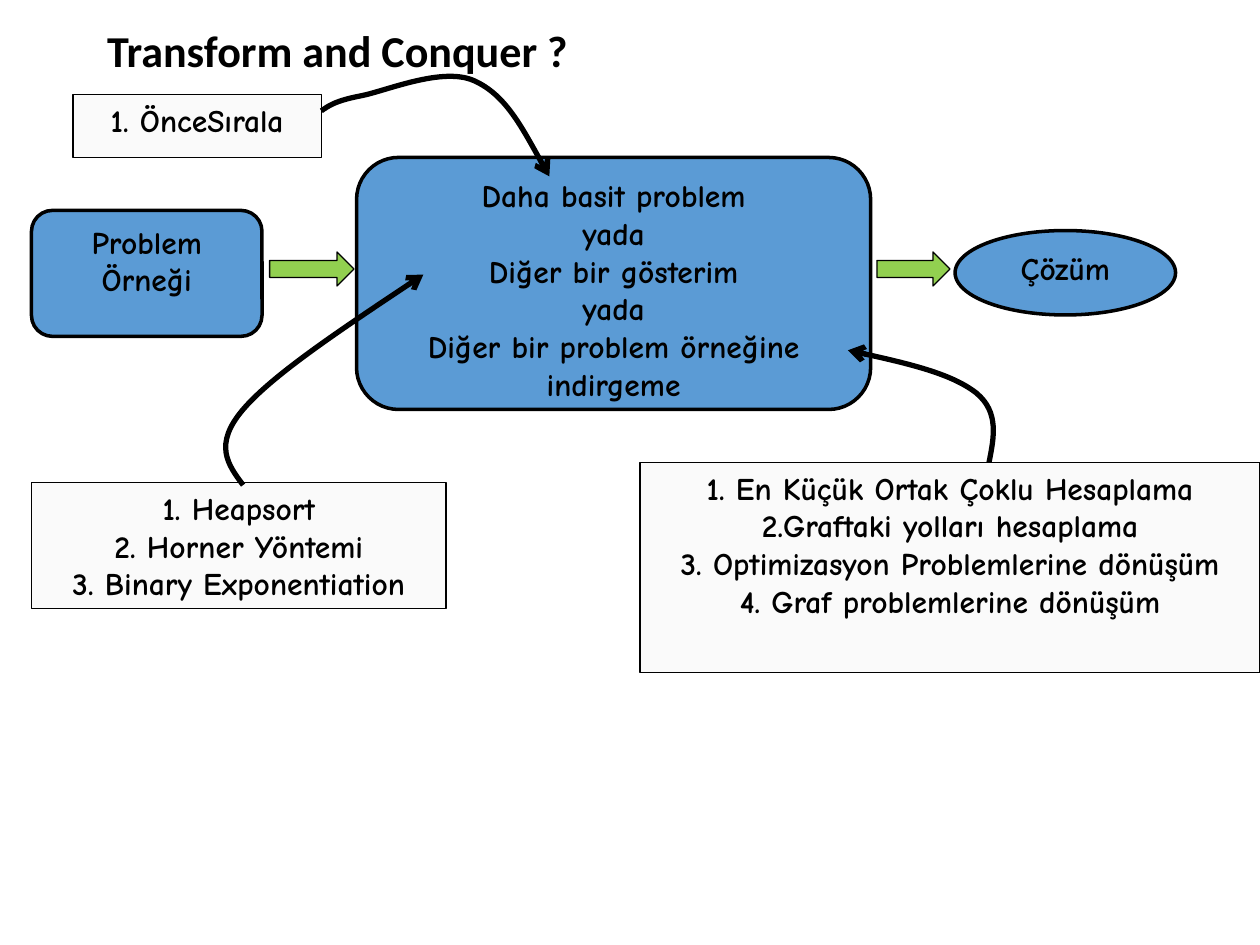
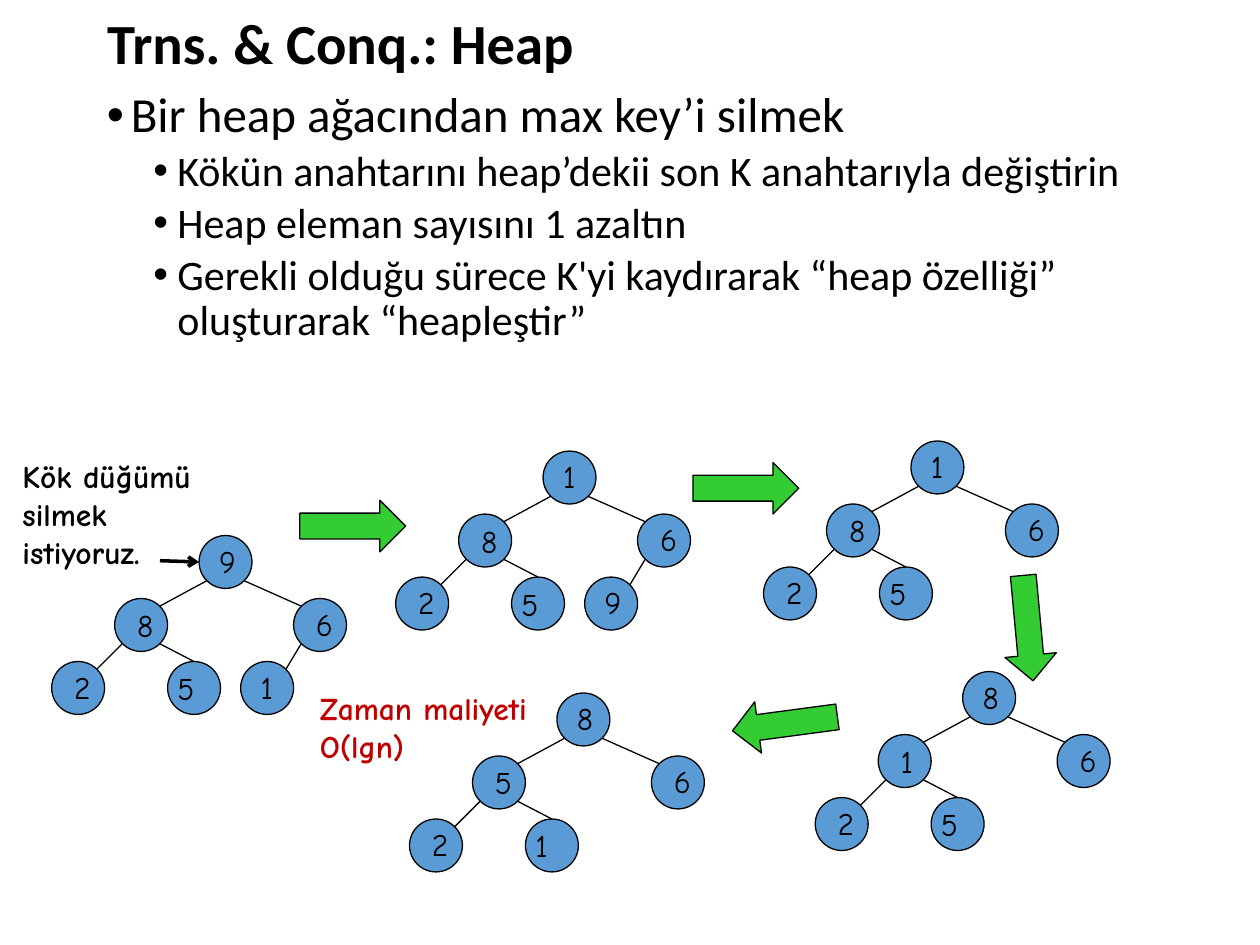
from pptx import Presentation
from pptx.dml.color import RGBColor
from pptx.enum.shapes import MSO_CONNECTOR, MSO_SHAPE
from pptx.enum.text import MSO_ANCHOR, MSO_AUTO_SIZE, PP_ALIGN
from pptx.oxml.ns import qn
from pptx.oxml.xmlchemy import OxmlElement
from pptx.util import Inches, Pt

COLORS = {
    "ink": "000000",
    "blue": "5B9BD5",
    "pale": "FAFAFA",
    "lime": "92D050",
    "green": "33CC33",
    "red": "C00000",
}
HEAD, HAND = "Calibri", "Comic Neue"
SIZE, NEAR, FAR = 0.42, 0.06, 0.36
MID = SIZE / 2
NODES = [(0, 0), (-0.67, 0.5), (0.75, 0.5), (-1.17, 1), (-0.25, 1), (0.33, 1)]
SHIFTS = [(0.06, 0), (0.08, 0.01), (0.08, 0), (0.08, 0), (-0.02, 0.01), (0.06, 0)]
EDGES = [
    (0, NEAR, 1, FAR, NEAR),
    (1, NEAR, 3, FAR, NEAR),
    (1, FAR, 4, MID, 0),
    (0, FAR, 2, NEAR, NEAR),
    (2, NEAR, 5, FAR, NEAR),
]


def color(name):
    return RGBColor.from_string(COLORS[name])


class Deck:
    def __init__(self):
        self.prs = Presentation()
        self.prs.slide_width = Inches(10)
        self.prs.slide_height = Inches(7.5)

    def page(self, text, box, size):
        self.slide = self.prs.slides.add_slide(self.prs.slide_layouts[5])
        self.shapes = self.slide.shapes
        title = self.shapes.title
        title.left, title.top, title.width, title.height = map(Inches, box)
        frame = title.text_frame
        frame.auto_size = MSO_AUTO_SIZE.NONE
        frame.vertical_anchor = MSO_ANCHOR.MIDDLE
        para = frame.paragraphs[0]
        para.alignment = PP_ALIGN.LEFT
        para.line_spacing = 0.9
        self.run(para, text, size, HEAD, True)

    def run(self, para, text, size=18, face=HAND, bold=False, ink="ink"):
        run = para.add_run()
        run.text = text
        font = run.font
        font.size, font.name, font.bold = Pt(size), face, bold
        font.color.rgb = color(ink)

    def lines(self, frame, texts, align=PP_ALIGN.LEFT, bold=True, ink="ink"):
        for i, text in enumerate(texts):
            para = frame.add_paragraph() if i else frame.paragraphs[0]
            para.alignment = align
            self.run(para, text, bold=bold, ink=ink)

    def stroke(self, shape, width, tip=False):
        shape.line.color.rgb = color("ink")
        shape.line.width = Pt(width)
        if tip:
            end = OxmlElement("a:tailEnd")
            end.set("type", "arrow")
            shape.line._get_or_add_ln().append(end)

    def shape(self, kind, box, fill, width=0.75, texts=(), turn=0):
        shape = self.shapes.add_shape(kind, *map(Inches, box))
        shape.shadow.inherit = False
        shape.fill.solid()
        shape.fill.fore_color.rgb = color(fill)
        shape.rotation = turn
        self.stroke(shape, width)
        frame = shape.text_frame
        frame.word_wrap = True
        frame.vertical_anchor = MSO_ANCHOR.TOP
        self.lines(frame, texts, PP_ALIGN.CENTER)

    def label(self, box, texts, bold=True, ink="ink"):
        frame = self.shapes.add_textbox(*map(Inches, box)).text_frame
        frame.word_wrap = False
        frame.auto_size = MSO_AUTO_SIZE.SHAPE_TO_FIT_TEXT
        self.lines(frame, texts, bold=bold, ink=ink)

    def bullets(self, box, items):
        frame = self.shapes.add_textbox(*map(Inches, box)).text_frame
        frame.word_wrap = True
        for i, (level, text) in enumerate(items):
            para = frame.add_paragraph() if i else frame.paragraphs[0]
            para.level = level
            para.line_spacing = 0.9
            if i:
                para.space_before = Pt(3.8)
            props = para._p.get_or_add_pPr()
            props.set("marL", str(Inches(0.56 if level else 0.19)))
            props.set("indent", str(Inches(-0.19)))
            face = OxmlElement("a:buFont")
            face.set("typeface", "Arial")
            mark = OxmlElement("a:buChar")
            mark.set("char", "•")
            props.extend([face, mark])
            self.run(para, text, 24 if level else 28, HEAD)

    def line(self, start, end, width=0.75, tip=False):
        ends = map(Inches, (*start, *end))
        link = self.shapes.add_connector(MSO_CONNECTOR.STRAIGHT, *ends)
        self.stroke(link, width, tip)
        link._element.spPr.append(OxmlElement("a:effectLst"))

    def curve(self, start, *points):
        pen = self.shapes.build_freeform(*map(Inches, start))
        pen.add_line_segments([tuple(map(Inches, p)) for p in points], close=False)
        shape = pen.convert_to_shape()
        shape.shadow.inherit = False
        shape.fill.background()
        self.stroke(shape, 3, True)
        parts = shape._element.xpath(".//a:lnTo")
        for first, *rest in zip(parts[::3], parts[1::3], parts[2::3]):
            first.tag = qn("a:cubicBezTo")
            for part in rest:
                first.append(part[0])
                part.getparent().remove(part)

    def tree(self, x, y, keys):
        spots = [(x + dx, y + dy) for dx, dy in NODES[:len(keys)]]
        for left, top in spots:
            self.shape(MSO_SHAPE.OVAL, (left, top, SIZE, SIZE), "blue")
        for top, side, low, dx, dy in EDGES:
            if low < len(keys):
                (px, py), (cx, cy) = spots[top], spots[low]
                self.line((px + side, py + FAR), (cx + dx, cy + dy))
        for key, (left, top), (dx, dy) in zip(keys, spots, SHIFTS):
            wide = 0.32 if key == "1" else 0.36
            self.label((left + dx, top + dy, wide, 0.4), [key], bold=False)


def scheme(deck):
    deck.page("Transform and Conquer ?", (0.75, 0.17, 7.51, 0.5), 25.2)
    rounded = MSO_SHAPE.ROUNDED_RECTANGLE
    deck.shape(rounded, (0.25, 1.67, 1.83, 1), "blue", 2, ["Problem Örneği"])
    deck.shape(rounded, (2.83, 1.25, 4.08, 2), "blue", 2, [
        "Daha basit problem",
        "yada",
        "Diğer bir gösterim",
        "yada",
        "Diğer bir problem örneğine indirgeme",
    ])
    deck.shape(MSO_SHAPE.OVAL, (7.58, 1.83, 1.75, 0.67), "blue", 2, ["Çözüm"])
    for left, wide in ((2.14, 0.67), (6.96, 0.58)):
        deck.shape(MSO_SHAPE.RIGHT_ARROW, (left, 2, wide, 0.27), "lime")
    notes = [
        ((0.58, 0.75, 1.97, 0.5), ["1. ÖnceSırala"]),
        ((0.25, 3.83, 3.29, 1), [
            "1. Heapsort",
            "2. Horner Yöntemi",
            "3. Binary Exponentiation",
        ]),
        ((5.08, 3.67, 4.92, 1.67), [
            "1. En Küçük Ortak Çoklu Hesaplama",
            "2.Graftaki yolları hesaplama",
            "3. Optimizasyon Problemlerine dönüşüm",
            "4. Graf problemlerine dönüşüm",
        ]),
    ]
    for box, texts in notes:
        deck.shape(MSO_SHAPE.RECTANGLE, box, "pale", texts=texts)
    deck.curve((2.55, 0.88), (2.61, 0.84), (2.66, 0.8), (2.87, 0.76),
               (3.07, 0.72), (3.51, 0.53), (3.76, 0.64),
               (4.01, 0.75), (4.18, 1.08), (4.36, 1.4))
    deck.curve((1.93, 3.85), (1.81, 3.69), (1.69, 3.53), (1.93, 3.25),
               (2.16, 2.98), (2.76, 2.58), (3.36, 2.18))
    deck.curve((7.85, 3.67), (7.89, 3.47), (7.93, 3.27), (7.75, 3.12),
               (7.56, 2.97), (7.15, 2.87), (6.73, 2.78))


def heap(deck):
    deck.page("Trns. & Conq.: Heap", (0.75, 0.08, 7.51, 0.58), 32.4)
    deck.bullets((0.75, 0.67, 8.42, 5.33), [
        (0, "Bir heap ağacından max key’i silmek"),
        (1, "Kökün anahtarını heap’dekii son K anahtarıyla değiştirin"),
        (1, "Heap eleman sayısını 1 azaltın"),
        (1, "Gerekli olduğu sürece K'yi kaydırarak “heap özelliği” "
            "oluşturarak “heapleştir”"),
    ])
    trees = [
        (1.58, 4.25, "986251"),
        (4.31, 3.58, "186259"),
        (7.23, 3.5, "18625"),
        (7.64, 5.33, "81625"),
        (4.42, 5.5, "85621"),
    ]
    for x, y, keys in trees:
        deck.tree(x, y, keys)
    deck.label((0.08, 3.58, 1.61, 1.01), ["Kök düğümü", "silmek", "istiyoruz."])
    deck.line((1.27, 4.45), (1.58, 4.46), 2, True)
    steps = [(2.38, 3.97, 0), (5.5, 3.67, 0), (7.74, 4.78, 84.7), (5.81, 5.54, 172.4)]
    for x, y, turn in steps:
        deck.shape(MSO_SHAPE.RIGHT_ARROW, (x, y, 0.84, 0.41), "green", turn=turn)
    deck.label((2.44, 5.42, 2.04, 0.71), ["Zaman maliyeti", "O(lgn)"], ink="red")


def main():
    deck = Deck()
    scheme(deck)
    heap(deck)
    deck.prs.save("out.pptx")


if __name__ == "__main__":
    main()
